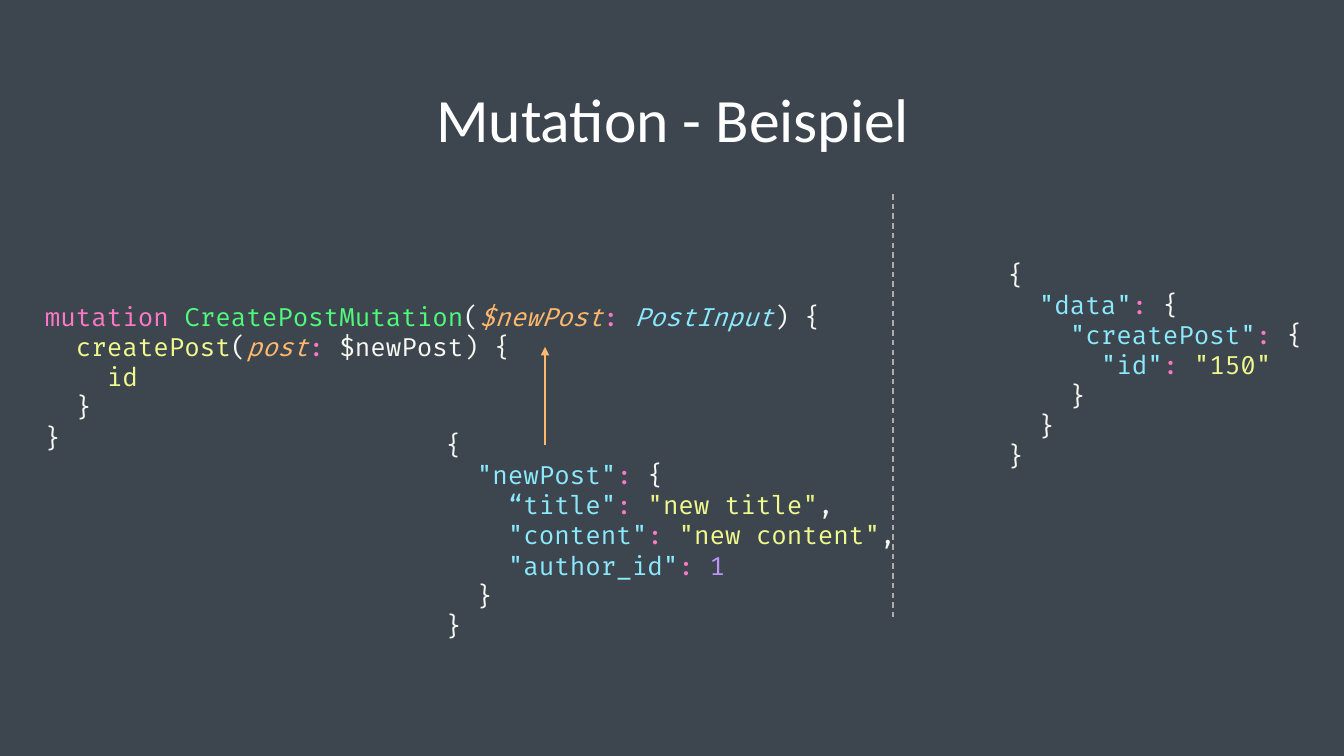
from dataclasses import dataclass
from typing import Any, NamedTuple

from lxml import etree
from pptx import Presentation
from pptx.dml.color import RGBColor
from pptx.enum.dml import MSO_LINE
from pptx.enum.shapes import MSO_CONNECTOR
from pptx.enum.text import MSO_ANCHOR, MSO_AUTO_SIZE, PP_ALIGN
from pptx.oxml.ns import qn
from pptx.slide import Slide
from pptx.text.text import TextFrame
from pptx.util import Emu, Pt

STRAIGHT = MSO_CONNECTOR.STRAIGHT
DASH = MSO_LINE.DASH
MIDDLE = MSO_ANCHOR.MIDDLE
GROW = MSO_AUTO_SIZE.SHAPE_TO_FIT_TEXT
CENTER = PP_ALIGN.CENTER
EMU_PER_PX = 914400 / 100.8


@dataclass(frozen=True)
class Theme:
    background: str = "3D464F"
    title: str = "FFFFFF"
    divider: str = "AFABAB"
    keyword: str = "FF79C6"
    definition: str = "50FA7B"
    plain: str = "F8F8F2"
    variable: str = "FFB86C"
    type_name: str = "8BE9FD"
    field: str = "F1FA8C"
    quote: str = "E9F284"
    number: str = "BD93F9"
    title_font: str = "Calibri"
    code_font: str = "Fira Code"
    title_size: int = 44
    code_size: int = 18
    line_width: int = 1
    indent_px: int = 31


THEME = Theme()


class Token(NamedTuple):
    text: str
    color: str
    italic: bool = False


class CodeLine(NamedTuple):
    level: int
    tokens: list[Token]


@dataclass(frozen=True)
class Box:
    left: int
    top: int
    width: int
    height: int


@dataclass(frozen=True)
class CodeBlock:
    box: Box
    lines: list[CodeLine]


@dataclass(frozen=True)
class Line:
    start: tuple[int, int]
    end: tuple[int, int]
    color: str
    dashed: bool = False
    arrow: bool = False


def px(value: int) -> Emu:
    return Emu(round(value * EMU_PER_PX))


def plain(level: int, text: str) -> CodeLine:
    return CodeLine(level, [Token(text, THEME.plain)])


def text_value(text: str) -> list[Token]:
    return [Token('"', THEME.quote), Token(text, THEME.field), Token('"', THEME.quote)]


def entry(level: int, key: str, value: list[Token], opening: str = '"') -> CodeLine:
    return CodeLine(level, [Token(f'{opening}{key}"', THEME.type_name), Token(": ", THEME.keyword), *value])


OPEN = [Token("{", THEME.plain)]
COMMA = [Token(",", THEME.plain)]

CODE_BLOCKS = [
    CodeBlock(Box(35, 296, 796, 163), [
        CodeLine(0, [
            Token("mutation ", THEME.keyword),
            Token("CreatePostMutation", THEME.definition),
            Token("(", THEME.plain),
            Token("$newPost", THEME.variable, True),
            Token(": ", THEME.keyword),
            Token("PostInput", THEME.type_name, True),
            Token(") {", THEME.plain),
        ]),
        CodeLine(1, [
            Token("createPost", THEME.field),
            Token("(", THEME.plain),
            Token("post", THEME.variable, True),
            Token(":", THEME.keyword),
            Token(" $newPost) {", THEME.plain),
        ]),
        CodeLine(2, [Token("id", THEME.field)]),
        plain(1, "}"),
        plain(0, "}"),
    ]),
    CodeBlock(Box(998, 254, 329, 224), [
        plain(0, "{"),
        entry(1, "data", OPEN),
        entry(2, "createPost", OPEN),
        entry(3, "id", text_value("150")),
        plain(2, "}"),
        plain(1, "}"),
        plain(0, "}"),
    ]),
    CodeBlock(Box(436, 424, 672, 224), [
        plain(0, "{"),
        entry(1, "newPost", OPEN),
        entry(2, "title", text_value("new title") + COMMA, opening="“"),
        entry(2, "content", text_value("new content") + COMMA),
        entry(2, "author_id", [Token("1", THEME.number)]),
        plain(1, "}"),
        plain(0, "}"),
    ]),
]

LINES = [
    Line((893, 194), (893, 617), THEME.divider, dashed=True),
    Line((545, 445), (545, 347), THEME.variable, arrow=True),
]


def apply(target: Any, values: dict[str, Any]) -> None:
    for name, value in values.items():
        setattr(target, name, value)


def add_text_box(slide: Slide, box: Box, values: dict[str, Any]) -> TextFrame:
    shape = slide.shapes.add_textbox(px(box.left), px(box.top), px(box.width), px(box.height))
    apply(shape.text_frame, {"word_wrap": True, **values})
    return shape.text_frame


def add_run(paragraph: Any, token: Token, font: str, size: int) -> None:
    run = paragraph.add_run()
    run.text = token.text
    apply(run.font, {"name": font, "size": Pt(size), "italic": token.italic})
    run.font.color.rgb = RGBColor.from_string(token.color)


def add_title(slide: Slide, text: str) -> None:
    frame = add_text_box(slide, Box(194, 50, 958, 146), {"vertical_anchor": MIDDLE})
    paragraph = frame.paragraphs[0]
    apply(paragraph, {"alignment": CENTER, "line_spacing": 0.9})
    add_run(paragraph, Token(text, THEME.title), THEME.title_font, THEME.title_size)


def add_code(slide: Slide, block: CodeBlock) -> None:
    frame = add_text_box(slide, block.box, {"auto_size": GROW})
    for index, line in enumerate(block.lines):
        paragraph = frame.add_paragraph() if index else frame.paragraphs[0]
        properties = paragraph._p.get_or_add_pPr()
        properties.set("marL", str(px(line.level * THEME.indent_px)))
        properties.set("indent", "0")
        for token in line.tokens:
            add_run(paragraph, token, THEME.code_font, THEME.code_size)


def add_line(slide: Slide, line: Line) -> None:
    connector = slide.shapes.add_connector(STRAIGHT, *map(px, line.start + line.end))
    connector.line.color.rgb = RGBColor.from_string(line.color)
    connector.line.width = Pt(THEME.line_width)
    if line.dashed:
        connector.line.dash_style = DASH
    if line.arrow:
        etree.SubElement(connector.line._get_or_add_ln(), qn("a:tailEnd"), type="triangle")
    etree.SubElement(connector._element.spPr, qn("a:effectLst"))


def main() -> None:
    presentation = Presentation()
    apply(presentation, {"slide_width": px(1344), "slide_height": px(756)})
    slide = presentation.slides.add_slide(presentation.slide_layouts[6])
    slide.background.fill.solid()
    slide.background.fill.fore_color.rgb = RGBColor.from_string(THEME.background)
    add_title(slide, "Mutation - Beispiel")
    for block in CODE_BLOCKS:
        add_code(slide, block)
    for line in LINES:
        add_line(slide, line)
    presentation.save("out.pptx")


if __name__ == "__main__":
    main()
